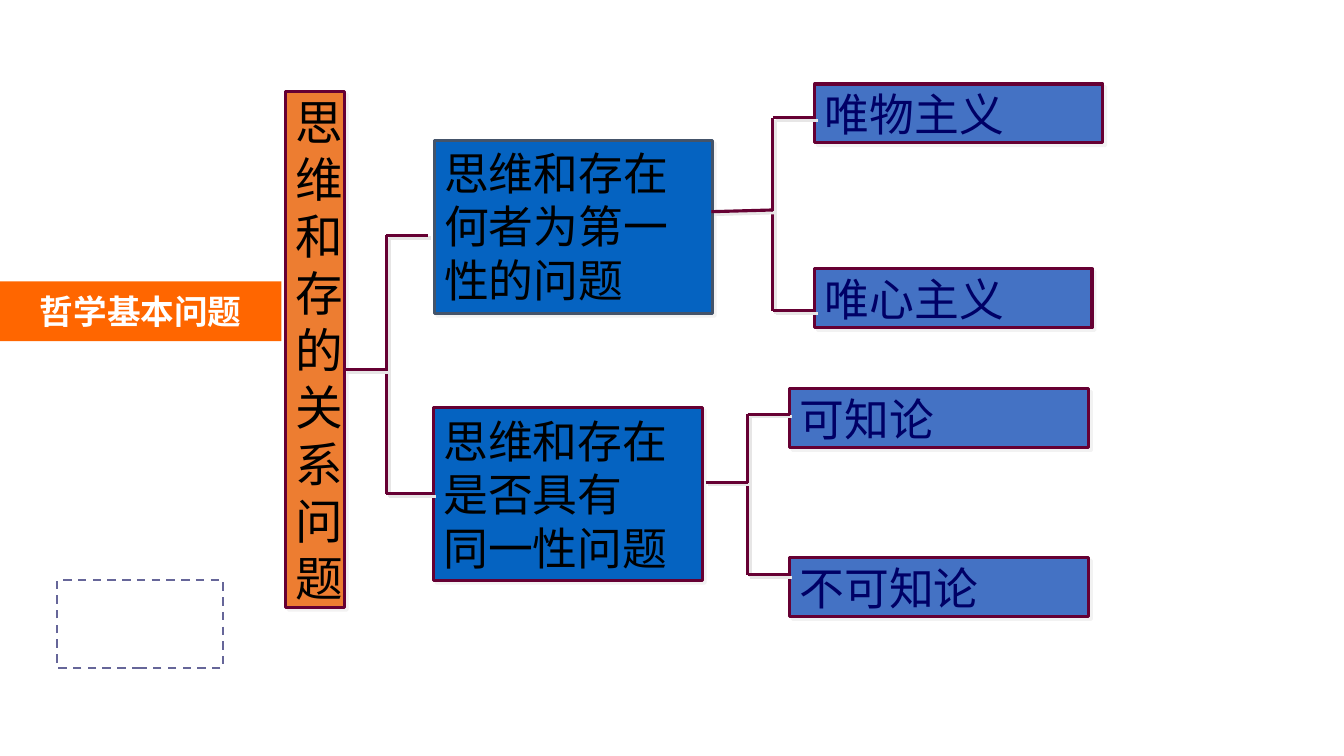
from lxml import etree
from pptx import Presentation
from pptx.dml.color import RGBColor
from pptx.enum.dml import MSO_LINE_DASH_STYLE as Dash
from pptx.enum.shapes import MSO_CONNECTOR as Connector, MSO_SHAPE as Shape
from pptx.enum.text import MSO_ANCHOR as Anchor, MSO_AUTO_SIZE as AutoSize, PP_ALIGN as Align
from pptx.oxml.ns import qn
from pptx.util import Inches, Pt

COLUMNS, ROWS = 160, 90
WIDTH, HEIGHT = Inches(13.33), Inches(7.5)
SANS = "Noto Sans CJK SC"
COLORS = {
    "title": "FF6600", "root": "ED7D31", "question": "0563C1", "answer": "4472C4",
    "border": "660033", "slate": "44546A", "dash": "666699", "shadow": "E7E6E6",
    "black": "000000", "navy": "000066", "white": "FFFFFF",
}


def color(name):
    return RGBColor.from_string(COLORS[name])


def across(columns):
    return int(WIDTH * columns / COLUMNS)


def down(rows):
    return int(HEIGHT * rows / ROWS)


def place(left, top, width, height):
    return across(left), down(top), across(width), down(height)


def add_shadow(element, opacity=100):
    """Drop a sharp shadow towards the lower right."""
    effects = etree.SubElement(element.spPr, qn("a:effectLst"))
    outer = etree.SubElement(effects, qn("a:outerShdw"), dist="35921", dir="2700000",
                             algn="ctr", rotWithShape="0")
    tint = etree.SubElement(outer, qn("a:srgbClr"), val=COLORS["shadow"])
    etree.SubElement(tint, qn("a:alpha"), val=str(opacity * 1000))


def write(box, text, size=32, font=SANS, ink="black", bold=False, align=Align.LEFT,
          anchor=Anchor.MIDDLE, wrap=False, spacing=1.2):
    """Fill a box with one paragraph per line; spacing is a multiple of the size."""
    frame = box.text_frame
    frame.word_wrap = wrap
    frame.auto_size = AutoSize.NONE
    frame.vertical_anchor = anchor
    frame.text = text
    for para in frame.paragraphs:
        para.alignment = align
        para.space_before = Pt(0)
        para.line_spacing = Pt(size * spacing)
        for span in para.runs:
            span.font.size = Pt(size)
            span.font.name = font
            span.font.bold = bold
            span.font.color.rgb = color(ink)
            east_asian = etree.Element(qn("a:ea"), typeface=SANS)
            span.font._element.find(qn("a:latin")).addnext(east_asian)


def add_box(page, spot, text, fill, border="border", **text_format):
    box = page.shapes.add_shape(Shape.RECTANGLE, *place(*spot))
    box.fill.solid()
    box.fill.fore_color.rgb = color(fill)
    box.line.color.rgb = color(border)
    box.line.width = Pt(2.25)
    add_shadow(box._element, opacity=50)
    write(box, text, **text_format)
    return box


def add_line(page, start, end, target=None):
    line = page.shapes.add_connector(Connector.STRAIGHT, across(start[0]), down(start[1]),
                                     across(end[0]), down(end[1]))
    if target is not None:
        line.end_connect(target, 1)
    line.line.color.rgb = color("border")
    line.line.width = Pt(2.25)
    add_shadow(line._element)


def add_bracket(page, spine, stem, joint, upper, lower, target=None):
    """Join a stem to two branches; target is the box glued to the lower one."""
    add_line(page, (spine, upper[1]), (spine, lower[1]))
    add_line(page, stem, (spine, joint))
    add_line(page, (spine, upper[1]), upper)
    add_line(page, (spine, lower[1]), lower, target)


def add_title(page, text):
    title = page.shapes.title
    title.left, title.top, title.width, title.height = place(0, 33.5, 33.5, 7.1)
    title.fill.solid()
    title.fill.fore_color.rgb = color("title")
    write(title, text, size=24, ink="white", bold=True, align=Align.CENTER, wrap=True)


def add_dashed_frame(page, spot):
    frame = page.shapes.add_shape(Shape.RECTANGLE, *place(*spot))
    frame.shadow.inherit = False
    frame.fill.background()
    frame.line.color.rgb = color("dash")
    frame.line.width = Pt(1.5)
    frame.line.dash_style = Dash.DASH


def main():
    deck = Presentation()
    deck.slide_width, deck.slide_height = WIDTH, HEIGHT
    page = deck.slides.add_slide(deck.slide_layouts[5])
    add_title(page, "哲学基本问题")

    add_box(page, (34, 10.9, 7, 61.4), "\n".join("思维和存在的关系问题".replace("在", "")),
            "root", size=34, font="Times New Roman")
    add_box(page, (51.7, 16.7, 33.1, 20.6), "思维和存在何者为第一性的问题", "question",
            border="slate", font="Arial", anchor=Anchor.TOP, wrap=True)
    identity = add_box(page, (51.6, 48.5, 32, 20.6), "思维和存在\n是否具有\n同一性问题", "question")

    answers = [
        ("唯物主义", 97, 10, 34.3), ("唯心主义", 97, 32, 33),
        ("可知论", 94, 46.3, 35.6), ("不可知论", 94, 66.4, 35.6),
    ]
    for text, left, top, width in answers:
        add_box(page, (left, top, width, 7), text, "answer", ink="navy")

    add_bracket(page, 46, (41, 44), 44, (51, 28), (51.6, 58.8), identity)
    add_bracket(page, 92, (84.7, 25.2), 25, (97, 14), (97, 37))
    add_bracket(page, 89, (84, 57.4), 57.4, (94, 49.3), (94, 68.4))
    add_dashed_frame(page, (6.8, 69.1, 19.8, 10.4))
    deck.save("out.pptx")


if __name__ == "__main__":
    main()
